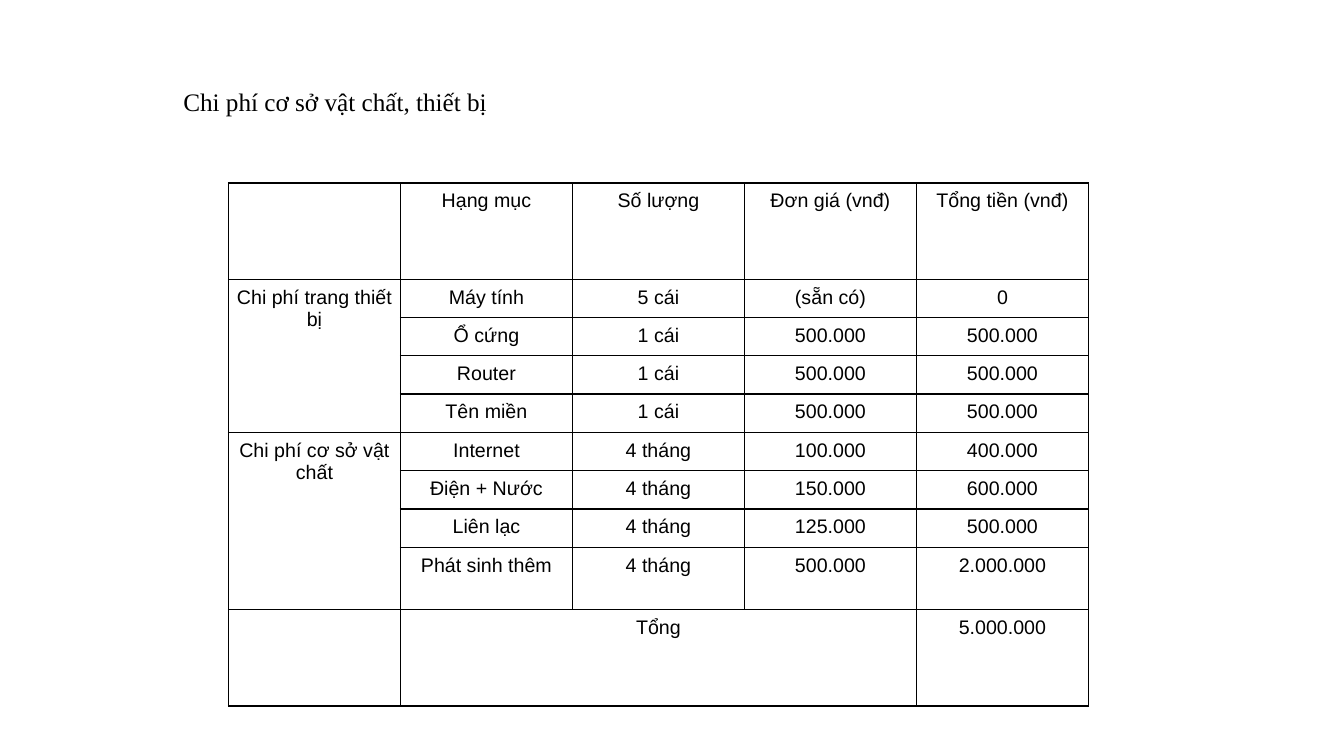
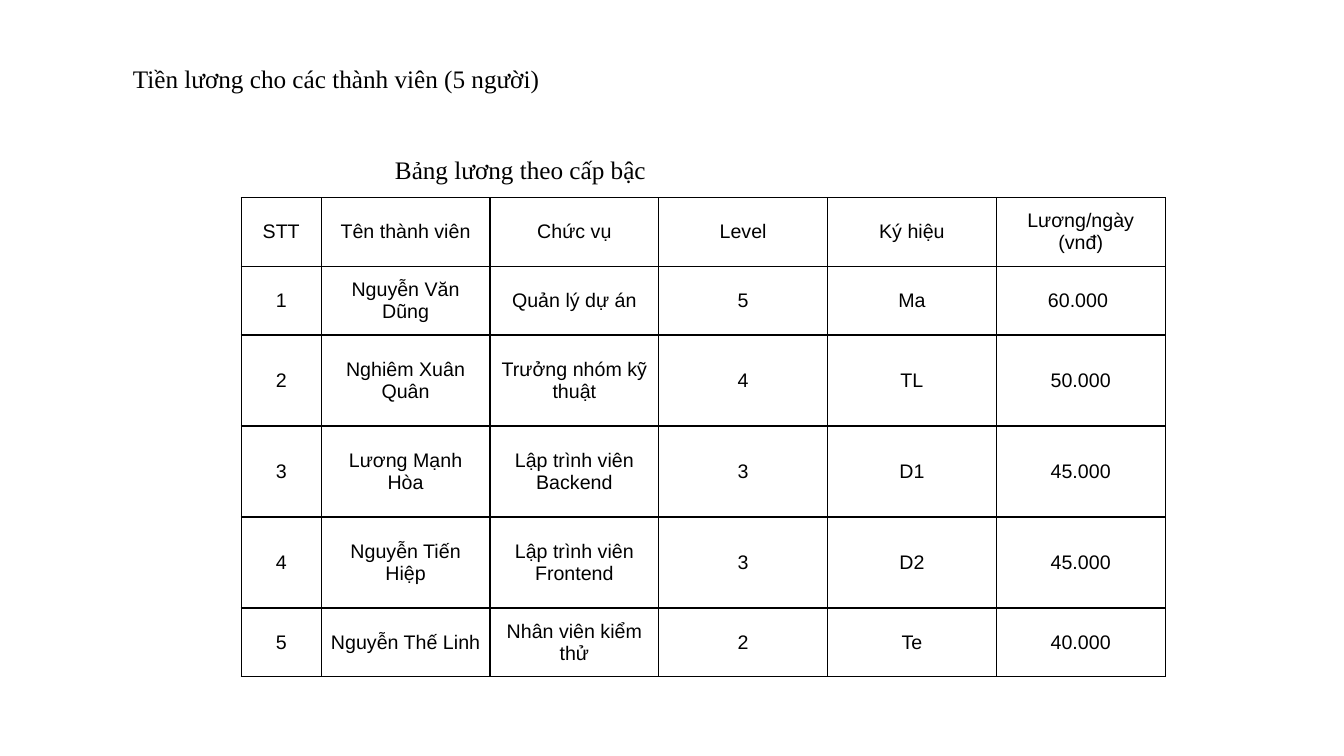
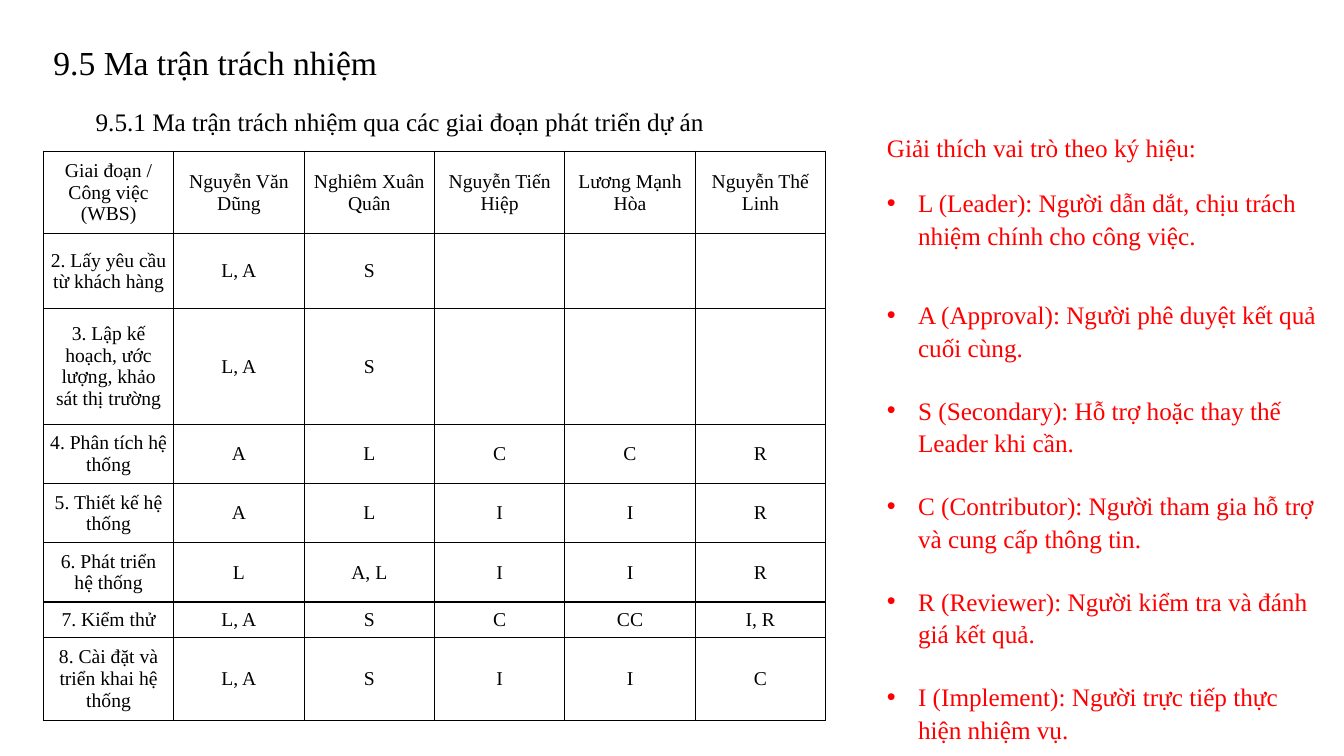
from dataclasses import dataclass

from lxml.etree import SubElement
from pptx import Presentation
from pptx.dml.color import RGBColor
from pptx.enum.text import MSO_ANCHOR, MSO_AUTO_SIZE, PP_ALIGN
from pptx.oxml import parse_xml
from pptx.oxml.ns import nsdecls, qn
from pptx.slide import Slide
from pptx.util import Inches, Length, Pt

WIDTH, HEIGHT = 13.33, 7.5
COLOURS = {"ink": "000000", "paper": "FFFFFF", "legend": "FF0000"}
SERIF, SANS = "Times New Roman", "Arial"
TABLE_SIZE, BODY_SIZE, HEADING_SIZE = 14, 18, 24
BORDER_WIDTH = Pt(1)
BULLET_INDENT = Inches(0.31)
LEGEND_LEADING = 1.08
LEGEND_LINE = 21.6


@dataclass(frozen=True)
class Label:
    """A one-line heading, placed in percent of the slide."""

    text: str
    left: float
    top: float
    width: float
    height: float = 5.4
    size: int = BODY_SIZE


@dataclass(frozen=True)
class Grid:
    """A bordered table, with all lengths in percent of the slide."""

    left: float
    top: float
    columns: list[float]
    rows: list[float]
    texts: list[list[str]]
    font: str = SANS
    anchor: MSO_ANCHOR = MSO_ANCHOR.MIDDLE
    inset: float = 0.07
    merges: tuple[tuple[int, int, int, int], ...] = ()


@dataclass(frozen=True)
class Entry:
    """A legend paragraph with its spacing in points."""

    text: str
    before: float = LEGEND_LINE
    after: float = 0
    bullet: bool = True


@dataclass(frozen=True)
class Page:
    """Everything that stands on one slide."""

    labels: list[Label]
    grid: Grid
    legend: tuple[Entry, ...] = ()


def across(percent: float) -> Length:
    """Turn a share of the slide's width into a length."""
    return Inches(WIDTH * percent / 100)


def down(percent: float) -> Length:
    """Turn a share of the slide's height into a length."""
    return Inches(HEIGHT * percent / 100)


def apply(target: object, values: dict) -> None:
    """Set each named attribute of the target."""
    for name, value in values.items():
        setattr(target, name, value)


def write(para, text: str, font: str, size: int, colour: str = "ink") -> None:
    """Add one formatted span to a paragraph."""
    span = para.add_run()
    span.text = text
    apply(span.font, {"name": font, "size": Pt(size), "bold": False})
    span.font.color.rgb = RGBColor.from_string(COLOURS[colour])


def draw_label(slide: Slide, label: Label) -> None:
    """Draw a heading that does not wrap."""
    box = slide.shapes.add_textbox(
        across(label.left), down(label.top), across(label.width), down(label.height)
    )
    apply(box.text_frame, {"word_wrap": False, "auto_size": MSO_AUTO_SIZE.SHAPE_TO_FIT_TEXT})
    write(box.text_frame.paragraphs[0], label.text, SERIF, label.size)


def style_cell(cell, grid: Grid) -> None:
    """Give a cell its fill, insets, anchor and four borders."""
    cell.fill.solid()
    cell.fill.fore_color.rgb = RGBColor.from_string(COLOURS["paper"])
    sides = ("left", "right", "top", "bottom")
    apply(cell, {f"margin_{side}": Inches(grid.inset) for side in sides})
    cell.vertical_anchor = grid.anchor
    properties = cell._tc.get_or_add_tcPr()
    for position, tag in enumerate(("lnL", "lnR", "lnT", "lnB")):
        border = parse_xml(
            f'<a:{tag} {nsdecls("a")} w="{BORDER_WIDTH}"><a:solidFill>'
            f'<a:srgbClr val="{COLOURS["ink"]}"/></a:solidFill></a:{tag}>'
        )
        properties.insert(position, border)


def draw_grid(slide: Slide, grid: Grid) -> None:
    """Draw a table with its merged cells and centred text."""
    frame = slide.shapes.add_table(
        len(grid.rows), len(grid.columns), across(grid.left), down(grid.top),
        across(sum(grid.columns)), down(sum(grid.rows)),
    )
    table = frame.table
    apply(table, {"first_row": False, "horz_banding": False})
    for column, width in zip(table.columns, grid.columns):
        column.width = across(width)
    for row, height in zip(table.rows, grid.rows):
        row.height = down(height)
    for top, left, bottom, right in grid.merges:
        table.cell(top, left).merge(table.cell(bottom, right))
    for row_index, texts in enumerate(grid.texts):
        for column_index, text in enumerate(texts):
            cell = table.cell(row_index, column_index)
            style_cell(cell, grid)
            if text:
                para = cell.text_frame.paragraphs[0]
                para.alignment = PP_ALIGN.CENTER
                write(para, text, grid.font, TABLE_SIZE)


def draw_legend(slide: Slide, entries: tuple[Entry, ...]) -> None:
    """Draw the explanation of the role letters."""
    box = slide.shapes.add_textbox(across(65.25), down(16.53), across(34), down(79.3))
    frame = box.text_frame
    apply(frame, {"word_wrap": True, "auto_size": MSO_AUTO_SIZE.SHAPE_TO_FIT_TEXT})
    for index, entry in enumerate(entries):
        para = frame.add_paragraph() if index else frame.paragraphs[0]
        apply(para, {
            "line_spacing": LEGEND_LEADING,
            "space_before": Pt(entry.before),
            "space_after": Pt(entry.after),
        })
        if entry.bullet:
            properties = para._p.get_or_add_pPr()
            properties.set("marL", str(BULLET_INDENT))
            properties.set("indent", str(-BULLET_INDENT))
            SubElement(properties, qn("a:buFont")).set("typeface", SANS)
            SubElement(properties, qn("a:buChar")).set("char", "•")
        write(para, entry.text, SERIF, BODY_SIZE, "legend")


COSTS = Page(
    [Label("Chi phí cơ sở vật chất, thiết bị", 12.9, 10.8, 25.5)],
    Grid(
        17, 24.2, [12.8] * 5, [12.73] + [5.07] * 7 + [8.27, 12.73],
        [
            ["", "Hạng mục", "Số lượng", "Đơn giá (vnđ)", "Tổng tiền (vnđ)"],
            ["Chi phí trang thiết bị", "Máy tính", "5 cái", "(sẵn có)", "0"],
            ["", "Ổ cứng", "1 cái", "500.000", "500.000"],
            ["", "Router", "1 cái", "500.000", "500.000"],
            ["", "Tên miền", "1 cái", "500.000", "500.000"],
            ["Chi phí cơ sở vật chất", "Internet", "4 tháng", "100.000", "400.000"],
            ["", "Điện + Nước", "4 tháng", "150.000", "600.000"],
            ["", "Liên lạc", "4 tháng", "125.000", "500.000"],
            ["", "Phát sinh thêm", "4 tháng", "500.000", "2.000.000"],
            ["", "Tổng", "", "", "5.000.000"],
        ],
        anchor=MSO_ANCHOR.TOP,
        merges=((1, 0, 4, 0), (5, 0, 8, 0), (9, 1, 9, 3)),
    ),
)

SALARIES = Page(
    [
        Label("Tiền lương cho các thành viên (5 người)", 9.15, 7.73, 33.1),
        Label("Bảng lương theo cấp bậc", 28.65, 19.73, 21.7),
    ],
    Grid(
        17.95, 26.15, [5.95] + [12.56] * 5, [9.08] * 2 + [12.04] * 3 + [9.08],
        [
            ["STT", "Tên thành viên", "Chức vụ", "Level", "Ký hiệu", "Lương/ngày (vnđ)"],
            ["1", "Nguyễn Văn Dũng", "Quản lý dự án", "5", "Ma", "60.000 "],
            ["2", "Nghiêm Xuân Quân", "Trưởng nhóm kỹ thuật", "4", "TL", "50.000"],
            ["3", "Lương Mạnh Hòa", "Lập trình viên Backend", "3", "D1", "45.000"],
            ["4", "Nguyễn Tiến Hiệp", "Lập trình viên Frontend", "3", "D2", "45.000"],
            ["5", "Nguyễn Thế Linh", "Nhân viên kiểm thử", "2", "Te", "40.000"],
        ],
    ),
)

RESPONSIBILITIES = Page(
    [
        Label("9.5 Ma trận trách nhiệm", 3.23, 4.93, 25.8, 6.7, HEADING_SIZE),
        Label("9.5.1 Ma trận trách nhiệm qua các giai đoạn phát triển dự án", 6.38, 13.47, 50.2),
    ],
    Grid(
        3.23, 20, [9.7] * 6, [10.85, 9.87, 15.34] + [7.8] * 3 + [4.65, 10.85],
        [
            ["Giai đoạn / Công việc (WBS)", "Nguyễn Văn Dũng", "Nghiêm Xuân Quân",
             "Nguyễn Tiến Hiệp", "Lương Mạnh Hòa", "Nguyễn Thế Linh"],
            ["2. Lấy yêu cầu từ khách hàng", "L, A", "S", "", "", ""],
            ["3. Lập kế hoạch, ước lượng, khảo sát thị trường", "L, A", "S", "", "", ""],
            ["4. Phân tích hệ thống", "A", "L", "C", "C", "R"],
            ["5. Thiết kế hệ thống", "A", "L", "I", "I", "R"],
            ["6. Phát triển hệ thống", "L", "A, L", "I", "I", "R"],
            ["7. Kiểm thử", "L, A", "S", "C", "CC", "I, R"],
            ["8. Cài đặt và triển khai hệ thống", "L, A", "S", "I", "I", "C"],
        ],
        font=SERIF,
        inset=0.06,
    ),
    (
        Entry("Giải thích vai trò theo ký hiệu:", 14, 4, False),
        Entry("L (Leader): Người dẫn dắt, chịu trách nhiệm chính cho công việc.", 12),
        Entry("A (Approval): Người phê duyệt kết quả cuối cùng.", LEGEND_LINE + 12),
        Entry("S (Secondary): Hỗ trợ hoặc thay thế Leader khi cần."),
        Entry("C (Contributor): Người tham gia hỗ trợ và cung cấp thông tin."),
        Entry("R (Reviewer): Người kiểm tra và đánh giá kết quả."),
        Entry("I (Implement): Người trực tiếp thực hiện nhiệm vụ.", after=12),
    ),
)


def main() -> None:
    """Build the deck and save it."""
    deck = Presentation()
    apply(deck, {"slide_width": Inches(WIDTH), "slide_height": Inches(HEIGHT)})
    for page in (COSTS, SALARIES, RESPONSIBILITIES):
        slide = deck.slides.add_slide(deck.slide_layouts[6])
        for label in page.labels:
            draw_label(slide, label)
        draw_grid(slide, page.grid)
        if page.legend:
            draw_legend(slide, page.legend)
    deck.save("out.pptx")


if __name__ == "__main__":
    main()
